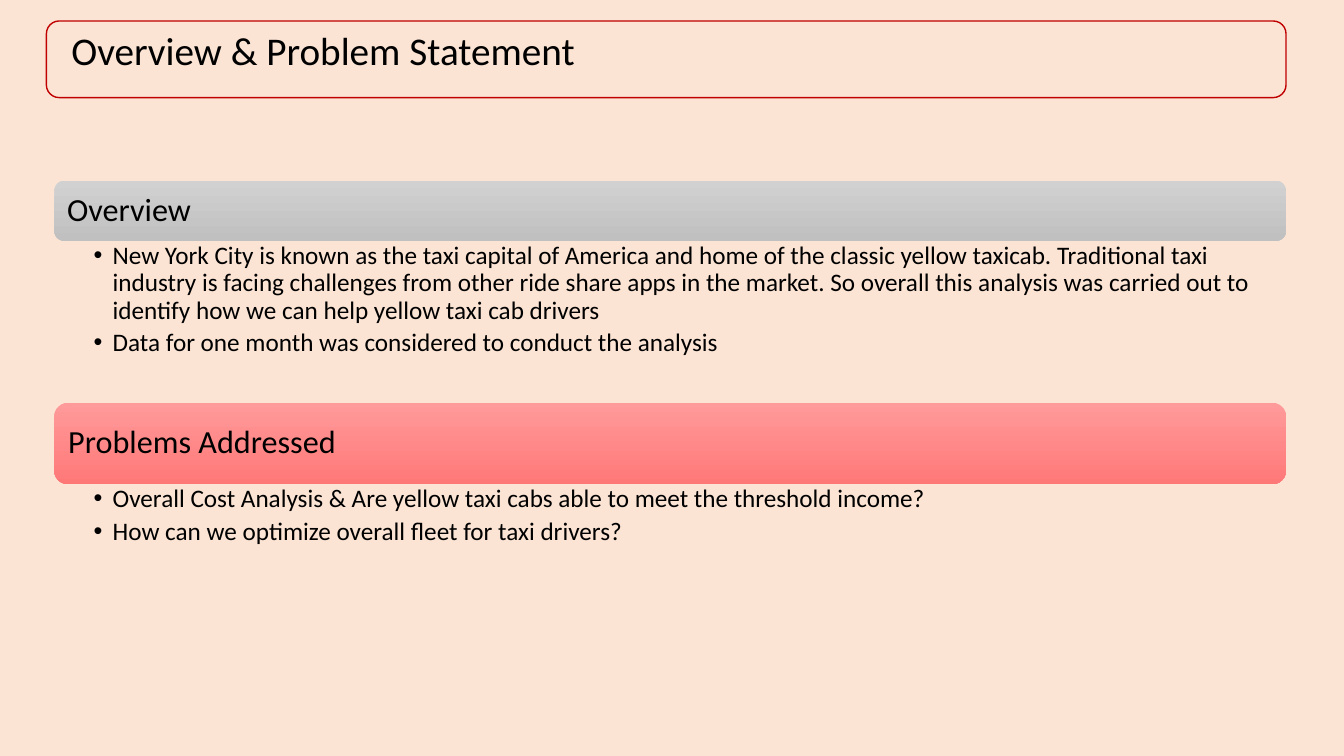
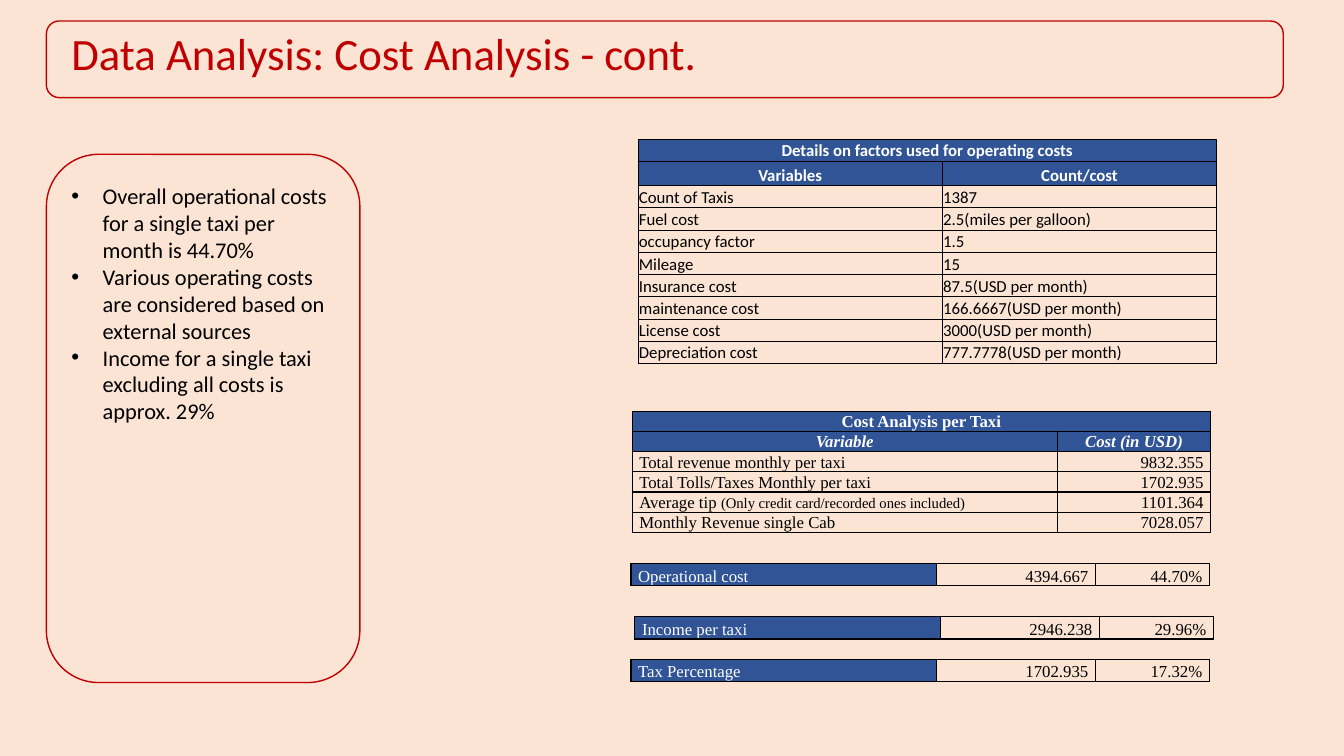
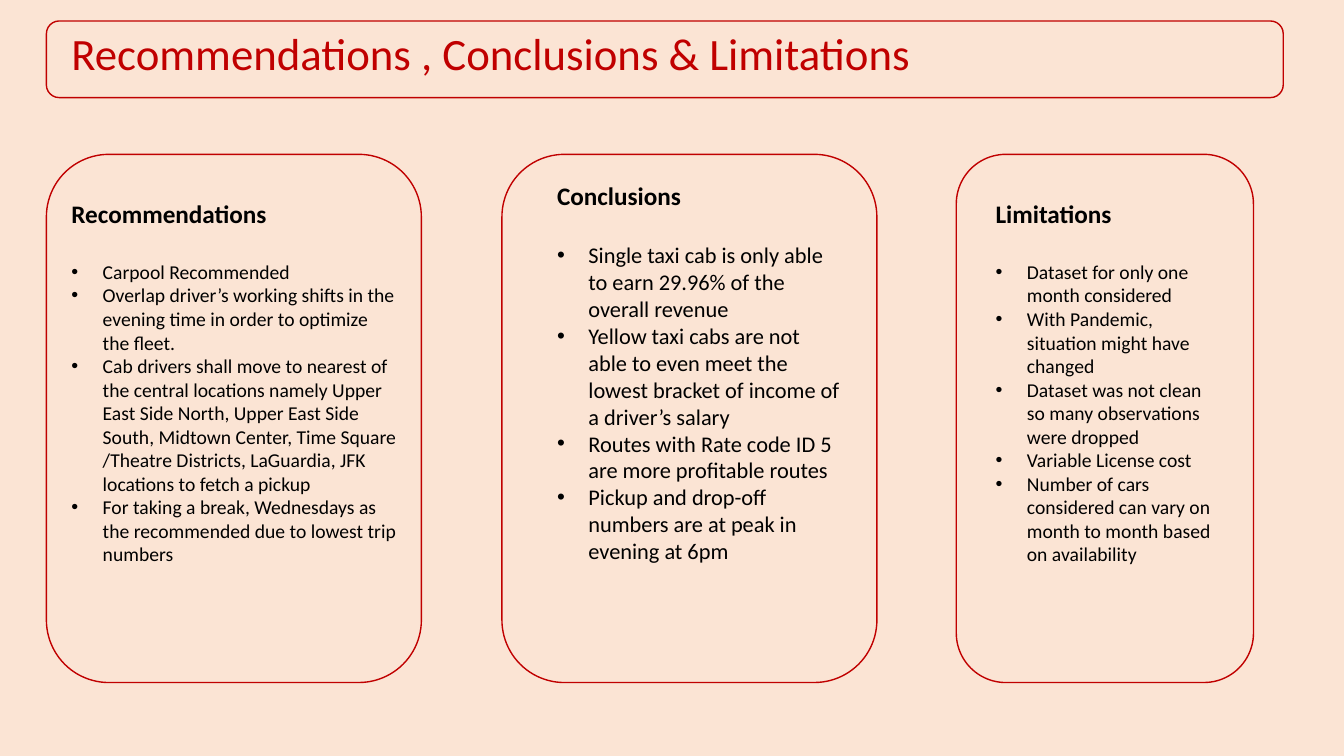
"""Build three slides on a taxi cost analysis."""
from dataclasses import dataclass

from lxml.etree import SubElement as Sub
from pptx import Presentation as Deck
from pptx.dml.color import RGBColor as Color
from pptx.enum.shapes import MSO_SHAPE as Shape
from pptx.enum.text import MSO_ANCHOR as Anchor, PP_ALIGN as Align
from pptx.oxml.ns import qn
from pptx.util import Cm, Pt

HUES = {
    "page": "FBE4D4", "red": "C00000", "black": "000000", "white": "FFFFFF",
    "blue": "305496", "ash": "D1D1D1", "grey": "C0C0C0",
    "rose": "FF9A9A", "coral": "FF7878",
}
SANS, SERIF = "Calibri", "Times New Roman"
EDGE, BOX_TOP, BOX_HIGH = 1.17, 3.89, 13.31
MARGINS = (0.25, 0.13, 0.25, 0.13)


@dataclass(frozen=True)
class Title:
    text: str
    wide: float = 31.17
    size: float = 32
    hue: str = "red"


@dataclass(frozen=True)
class Bar:
    text: str
    top: float
    high: float
    body: float
    hues: tuple[str, str]
    points: list[str]


@dataclass(frozen=True)
class Card:
    left: float
    wide: float
    start: float
    top: float
    room: float
    size: float
    points: list[str]
    head: str = ""


@dataclass(frozen=True)
class Grid:
    left: float
    top: float
    cols: list[float]
    rows: list[float]
    data: list[list[str]]
    heads: int = 0
    font: str = SERIF
    pads: tuple[float, ...] = (0.18, 0, 0.18, 0)
    line: float = 1
    plain: bool = False


def paint(name: str) -> Color:
    return Color.from_string(HUES[name])


def style(part, size: float, hue: str = "black", font: str = SANS,
          bold: bool = False, slant: bool = False) -> None:
    for run in part.runs:
        face = run.font
        face.size, face.name, face.bold, face.italic = Pt(size), font, bold, slant
        face.color.rgb = paint(hue)


def dot(part, dent: float) -> None:
    props = part._p.get_or_add_pPr()
    props.set("marL", str(Cm(dent)))
    props.set("indent", str(-Cm(dent)))
    Sub(props, qn("a:buFont"), typeface="Arial")
    Sub(props, qn("a:buChar"), char="•")


def pad(frame, sides: tuple[float, ...]) -> None:
    (frame.margin_left, frame.margin_top,
     frame.margin_right, frame.margin_bottom) = map(Cm, sides)


def add_text(slide, spot: tuple[float, ...], lines: list[str],
             sides: tuple[float, ...] = MARGINS):
    frame = slide.shapes.add_textbox(*map(Cm, spot)).text_frame
    frame.word_wrap = True
    pad(frame, sides)
    frame.text = "\n".join(lines)
    return frame


def add_box(slide, *spot: float):
    box = slide.shapes.add_shape(Shape.ROUNDED_RECTANGLE, *map(Cm, spot))
    box.shadow.inherit = False
    box.fill.background()
    box.line.color.rgb = paint("red")
    box.line.width = Pt(1)
    return box


def add_page(deck, title: Title):
    slide = deck.slides.add_slide(deck.slide_layouts[6])
    fill = slide.background.fill
    fill.solid()
    fill.fore_color.rgb = paint("page")
    frame = add_text(slide, (1.55, 0.53, 29.7, 1.63), [title.text])
    style(frame.paragraphs[0], title.size, title.hue)
    add_box(slide, EDGE, 0.53, title.wide, 1.93)
    return slide


def add_bar(slide, bar: Bar) -> None:
    left, wide = 1.37, 31.04
    box = add_box(slide, left, bar.top, wide, bar.high)
    box.line.fill.background()
    box.fill.gradient()
    box.fill.gradient_angle = 270
    for stop, hue in zip(box.fill.gradient_stops, bar.hues):
        stop.color.rgb = paint(hue)
    frame = box.text_frame
    frame.vertical_anchor = Anchor.MIDDLE
    pad(frame, (0.25,) * 4)
    frame.text = bar.text
    head = frame.paragraphs[0]
    head.alignment = Align.LEFT
    head.line_spacing = 0.9
    style(head, 23)
    spot = (left, bar.top + bar.high, wide, bar.body)
    body = add_text(slide, spot, bar.points, (0.99, 0.05, 0.36, 0.05))
    for rank, part in enumerate(body.paragraphs):
        part.line_spacing = 0.9
        part.space_before = Pt(3.6 if rank else 0)
        dot(part, 0.48)
        style(part, 18)


def add_card(slide, card: Card) -> None:
    add_box(slide, card.left, BOX_TOP, card.wide, BOX_HIGH)
    lines = [card.head] * bool(card.head) + card.points
    spot = (card.start, card.top, card.room, 12)
    for part in add_text(slide, spot, lines).paragraphs:
        if part.text == card.head:
            part.space_after = Pt(22)
            style(part, 18, bold=True)
        else:
            dot(part, 0.79)
            style(part, card.size)


def add_edges(cell, width: float) -> None:
    props = cell._tc.get_or_add_tcPr()
    for rank, side in enumerate(("lnL", "lnR", "lnT", "lnB")):
        line = Sub(props, qn(f"a:{side}"), w=str(Pt(width)))
        Sub(Sub(line, qn("a:solidFill")), qn("a:srgbClr"), val=HUES["black"])
        props.insert(rank, line)


def fill_cell(cell, grid: Grid, row: int, col: int, text: str) -> None:
    head = row < grid.heads
    dark = head or (not grid.heads and col == 0)
    if dark:
        cell.fill.solid()
        cell.fill.fore_color.rgb = paint("blue")
    else:
        cell.fill.background()
    add_edges(cell, grid.line)
    pad(cell, grid.pads)
    cell.vertical_anchor = Anchor.BOTTOM
    main, _, note = text.partition("|")
    cell.text_frame.text = main
    part = cell.text_frame.paragraphs[0]
    if note:
        part.add_run().text = note
    if head:
        part.alignment = Align.CENTER
    elif col and not grid.plain:
        part.alignment = Align.RIGHT
    style(part, 12, "white" if dark else "black", grid.font, head,
          head and row == 1 and not grid.plain)
    if note:
        part.runs[1].font.size = Pt(10.5)


def add_grid(slide, grid: Grid) -> None:
    spot = (grid.left, grid.top, sum(grid.cols), sum(grid.rows))
    table = slide.shapes.add_table(
        len(grid.rows), len(grid.cols), *map(Cm, spot)).table
    table.first_row = table.horz_banding = False
    for col, wide in zip(table.columns, grid.cols):
        col.width = Cm(wide)
    for row, high in zip(table.rows, grid.rows):
        row.height = Cm(high)
    for row, texts in enumerate(grid.data):
        for col in range(len(grid.cols)):
            text = texts[col] if col < len(texts) else ""
            fill_cell(table.cell(row, col), grid, row, col, text)
    if grid.heads:
        table.cell(0, 0).merge(table.cell(0, len(grid.cols) - 1))


BARS = [
    Bar("Overview", 4.55, 1.52, 4.09, ("ash", "grey"), [
        "New York City is known as the taxi capital of America and home of the "
        "classic yellow taxicab. Traditional taxi industry is facing challenges "
        "from other ride share apps in the market. So overall this analysis was "
        "carried out to identify how we can help yellow taxi cab drivers",
        "Data for one month was considered to conduct the analysis",
    ]),
    Bar("Problems Addressed", 10.15, 2.05, 1.98, ("rose", "coral"), [
        "Overall Cost Analysis & Are yellow taxi cabs able to meet the "
        "threshold income?",
        "How can we optimize overall fleet for taxi drivers?",
    ]),
]

COSTS = Card(EDGE, 7.9, 1.55, 4.47, 7.11, 16, [
    "Overall operational costs for a single taxi per month is 44.70%",
    "Various operating costs are considered based on external sources",
    "Income for a single taxi excluding all costs is approx. 29%",
])

GRIDS = [
    Grid(16.08, 3.51, [7.67, 6.91], [0.56, 0.61] + [0.56] * 8, [
        ["Details on factors used for operating costs"],
        ["Variables", "Count/cost"],
        ["Count of Taxis", "1387"],
        ["Fuel cost", "2.5(miles per galloon)"],
        ["occupancy factor", "1.5"],
        ["Mileage", "15"],
        ["Insurance cost", "87.5(USD per month)"],
        ["maintenance cost", "166.6667(USD per month)"],
        ["License cost", "3000(USD per month)"],
        ["Depreciation cost", "777.7778(USD per month)"],
    ], 2, SANS, (0.02, 0.02, 0.02, 0), 0.75, True),
    Grid(15.93, 10.36, [10.72, 3.86], [0.51] * 6, [
        ["Cost Analysis per Taxi"],
        ["Variable", "Cost (in USD)"],
        ["Total revenue monthly per taxi", "9832.355"],
        ["Total Tolls/Taxes Monthly per taxi", "1702.935"],
        ["Average tip |(Only credit card/recorded ones included)", "1101.364"],
        ["Monthly Revenue single Cab", "7028.057"],
    ], 2),
] + [
    Grid(left, top, [7.7, 4.01, 2.87], [0.56], [texts])
    for left, top, texts in (
        (15.9, 14.2, ["Operational cost", "4394.667", "44.70%"]),
        (16, 15.54, ["Income per taxi", "2946.238", "29.96%"]),
        (15.9, 16.61, ["Tax Percentage", "1702.935", "17.32%"]),
    )
]

CARDS = [
    Card(EDGE, 9.45, 1.55, 4.88, 8.71, 14, [
        "Carpool Recommended",
        "Overlap driver’s working shifts in the evening time in order to "
        "optimize the fleet.",
        "Cab drivers shall move to nearest of the central locations namely "
        "Upper East Side North, Upper East Side South, Midtown Center, Time "
        "Square /Theatre Districts, LaGuardia, JFK locations to fetch a pickup",
        "For taking a break, Wednesdays as the recommended due to lowest trip "
        "numbers",
    ], "Recommendations"),
    Card(12.65, 9.45, 13.79, 4.42, 7.7, 16, [
        "Single taxi cab is only able to earn 29.96% of the overall revenue",
        "Yellow taxi cabs are not able to even meet the lowest bracket of "
        "income of a driver’s salary",
        "Routes with Rate code ID 5 are more profitable routes",
        "Pickup and drop-off numbers are at peak in evening at 6pm",
    ], "Conclusions"),
    Card(24.1, 7.49, 24.84, 4.88, 6.15, 14, [
        "Dataset for only one month considered",
        "With Pandemic, situation might have changed",
        "Dataset was not clean so many observations were dropped",
        "Variable License cost",
        "Number of cars considered can vary on month to month based on "
        "availability",
    ], "Limitations"),
]


def main() -> None:
    deck = Deck()
    deck.slide_width, deck.slide_height = Cm(33.87), Cm(19.05)

    slide = add_page(deck, Title("Overview & Problem Statement", 31.24, 28, "black"))
    for bar in BARS:
        add_bar(slide, bar)

    slide = add_page(deck, Title("Data Analysis: Cost Analysis - cont."))
    add_card(slide, COSTS)
    for grid in GRIDS:
        add_grid(slide, grid)

    slide = add_page(deck, Title("Recommendations , Conclusions & Limitations"))
    for card in CARDS:
        add_card(slide, card)

    deck.save("out.pptx")


if __name__ == "__main__":
    main()
